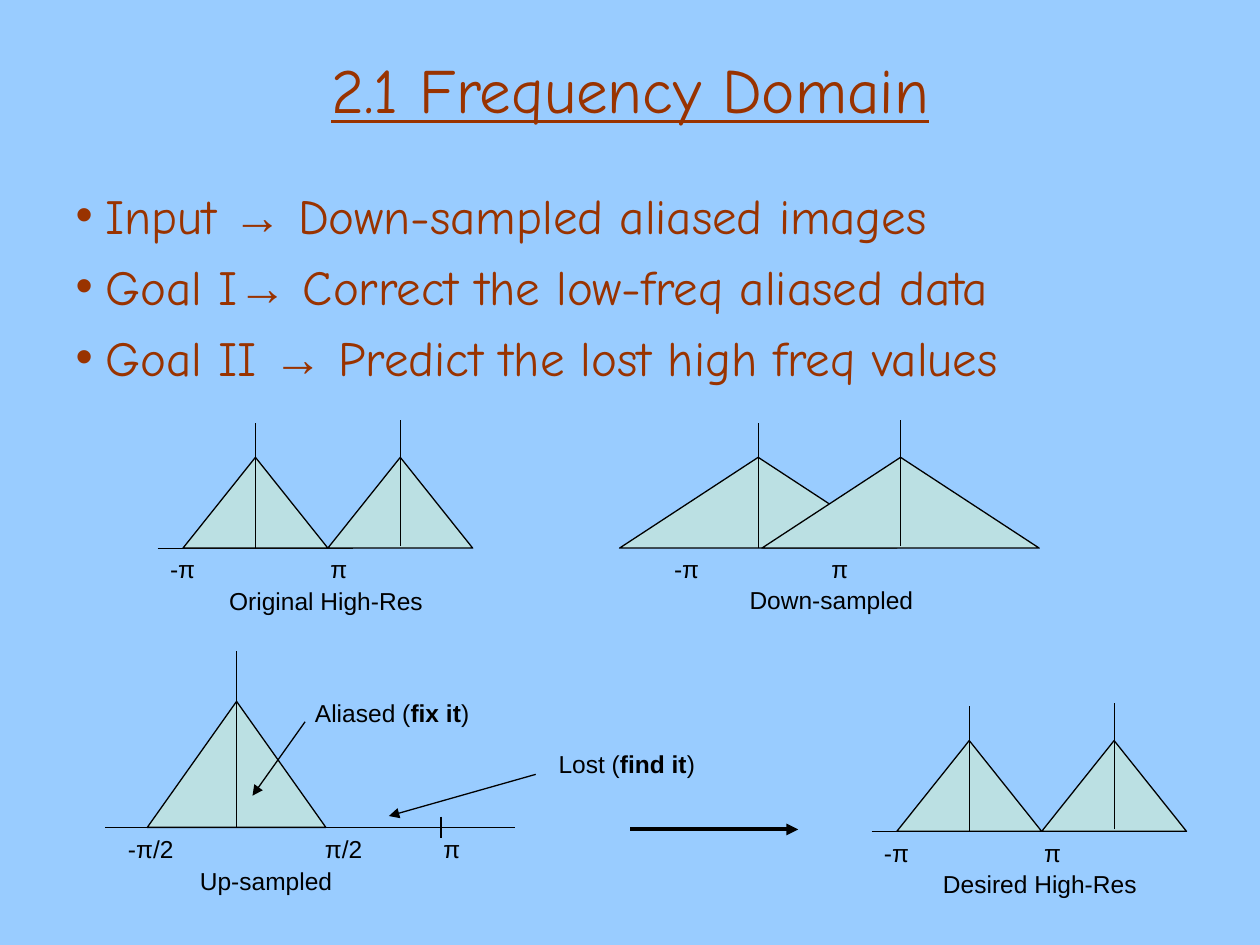
from lxml import etree
from pptx import Presentation
from pptx.dml.color import RGBColor
from pptx.enum import shapes, text
from pptx.oxml import ns
from pptx.util import Cm, Pt

COLORS = {"background": "99CCFF", "heading": "993300", "lobe": "BBE0E3", "ink": "000000"}
HEADING_FONT, LABEL_FONT = "Comic Neue", "Arial"
LABEL_HEIGHT = 0.86
LOBE_TOP, LOBE_HEIGHT = 0.75, 1.83
AXIS = LOBE_TOP + LOBE_HEIGHT


def color(name):
    return RGBColor.from_string(COLORS[name])


def add_element(parent, tag, **attributes):
    return etree.SubElement(parent, ns.qn(tag), **attributes)


def style_font(font, size, name, color_name):
    font.size = Pt(size)
    font.name = name
    font.color.rgb = color(color_name)


def place(shape, left, top, width, height):
    shape.left, shape.top, shape.width, shape.height = map(Cm, (left, top, width, height))


def add_line(container, start, end, weight=0.75, arrow=False):
    line = container.shapes.add_connector(
        shapes.MSO_CONNECTOR.STRAIGHT, *map(Cm, (*start, *end)))
    line.line.color.rgb = color("ink")
    line.line.width = Pt(weight)
    if arrow:
        add_element(line.line._get_or_add_ln(), "a:tailEnd", type="triangle")
    add_element(line._element.spPr, "a:effectLst")


def add_label(container, left, top, width, *parts):
    """Add a one-line label in which every second part is bold."""
    label = container.shapes.add_textbox(*map(Cm, (left, top, width, LABEL_HEIGHT)))
    frame = label.text_frame
    frame.word_wrap = False
    frame.auto_size = text.MSO_AUTO_SIZE.SHAPE_TO_FIT_TEXT
    paragraph = frame.paragraphs[0]
    style_font(paragraph.font, 14, LABEL_FONT, "ink")
    for index, part in enumerate(parts):
        run = paragraph.add_run()
        run.text = part
        if index % 2:
            run.font.bold = True


def add_lobe(container, left, top, width, height, stem_top, stem_bottom):
    """Add a triangular spectrum with a vertical stem through its peak."""
    lobe = container.shapes.add_shape(
        shapes.MSO_SHAPE.ISOSCELES_TRIANGLE, *map(Cm, (left, top, width, height)))
    lobe.shadow.inherit = False
    lobe.fill.solid()
    lobe.fill.fore_color.rgb = color("lobe")
    lobe.line.color.rgb = color("ink")
    lobe.line.width = Pt(0.75)
    middle = left + width / 2
    add_line(container, (middle, stem_bottom), (middle, stem_top))


def add_lobe_pair(container, left, top, width, step):
    for index, shift in enumerate((0.05, 0)):
        add_lobe(container, left + index * step, top + LOBE_TOP, width, LOBE_HEIGHT,
                 top + shift, top + AXIS - 0.04 * index)


def draw_title(slide):
    title = slide.shapes.title
    place(title, 1.27, 0.2, 22.86, 3.18)
    frame = title.text_frame
    frame.text = "2.1 Frequency Domain"
    frame.vertical_anchor = text.MSO_ANCHOR.MIDDLE
    paragraph = frame.paragraphs[0]
    paragraph.alignment = text.PP_ALIGN.CENTER
    style_font(paragraph.font, 36, HEADING_FONT, "heading")
    paragraph.font.underline = True


def draw_goals(slide):
    body = slide.placeholders[1]
    place(body, 1.27, 3.61, 22.86, 2.97)
    frame = body.text_frame
    frame.auto_size = text.MSO_AUTO_SIZE.NONE
    goals = [("Input ", " Down-sampled aliased images"),
             ("Goal I", " Correct the low-freq aliased data"),
             ("Goal II ", " Predict the lost high freq values")]
    for index, (source, target) in enumerate(goals):
        paragraph = frame.add_paragraph() if index else frame.paragraphs[0]
        paragraph.space_before = Pt(7 if index else 0)
        properties = paragraph._p.get_or_add_pPr()
        properties.set("marL", str(Cm(0.6)))
        properties.set("indent", str(-Cm(0.6)))
        bullet_color = add_element(properties, "a:buClr")
        add_element(bullet_color, "a:srgbClr", val=COLORS["heading"])
        add_element(properties, "a:buFont", typeface=LABEL_FONT)
        add_element(properties, "a:buChar", char="•")
        style_font(paragraph.font, 28, HEADING_FONT, "heading")
        for part in (source, "→", target):
            run = paragraph.add_run()
            run.text = part
            run.font.name = LABEL_FONT if part == "→" else HEADING_FONT


def draw_high_res(slide, left, top, caption):
    group = slide.shapes.add_group_shape()
    axis = top + AXIS
    add_line(group, (left, axis), (left + 3.94, axis))
    add_lobe_pair(group, left + 0.51, top, 2.92, 2.92)
    add_label(group, left + 3.23, axis, 0.9, "π")
    add_label(group, left, axis, 1.1, "-π")
    add_label(group, left + 1.19, axis + 0.63, 4.5, caption)


def draw_down_sampled(slide, left, top):
    group = slide.shapes.add_group_shape()
    axis = top + AXIS
    add_lobe_pair(group, left, top, 5.59, 2.87)
    add_label(group, left + 4.02, axis, 0.9, "π")
    add_label(group, left + 0.85, axis, 1.1, "-π")
    add_label(group, left + 2.37, axis + 0.62, 3.9, "Down-sampled")


def draw_up_sampled(slide, left, top):
    group = slide.shapes.add_group_shape()
    axis = top + 3.56
    add_lobe(group, left + 0.85, top + 1.02, 3.6, 2.54, top, axis)
    add_line(group, (left, axis), (left + 8.26, axis))
    add_line(group, (left + 6.77, axis - 0.22), (left + 6.77, axis + 0.22))
    for offset, width, tick in [(0.21, 1.5, "-π/2"), (4.18, 1.35, "π/2"), (6.57, 0.9, "π")]:
        add_label(group, left + offset, axis, width, tick)
    add_line(group, (left + 8.68, top + 2.49), (left + 5.72, top + 3.33), arrow=True)
    add_line(group, (left + 4.03, top + 1.43), (left + 2.97, top + 2.92), arrow=True)
    add_label(group, left + 3.98, top + 0.82, 3.7, "Aliased (", "fix it", ")")
    add_label(group, left + 8.89, top + 1.85, 3.4, "Lost (", "find it", ")")
    add_label(group, left + 1.66, axis + 0.66, 3.3, "Up-sampled")


def main():
    presentation = Presentation()
    presentation.slide_width, presentation.slide_height = Cm(25.4), Cm(19.05)
    slide = presentation.slides.add_slide(presentation.slide_layouts[1])
    slide.background.fill.solid()
    slide.background.fill.fore_color.rgb = color("background")
    draw_title(slide)
    draw_goals(slide)
    draw_high_res(slide, 3.18, 8.47, "Original High-Res")
    draw_down_sampled(slide, 12.49, 8.47)
    draw_up_sampled(slide, 2.12, 13.12)
    add_line(slide, (12.7, 16.72), (16.09, 16.72), weight=2.25, arrow=True)
    draw_high_res(slide, 17.57, 14.18, "Desired High-Res")
    presentation.save("out.pptx")


if __name__ == "__main__":
    main()
